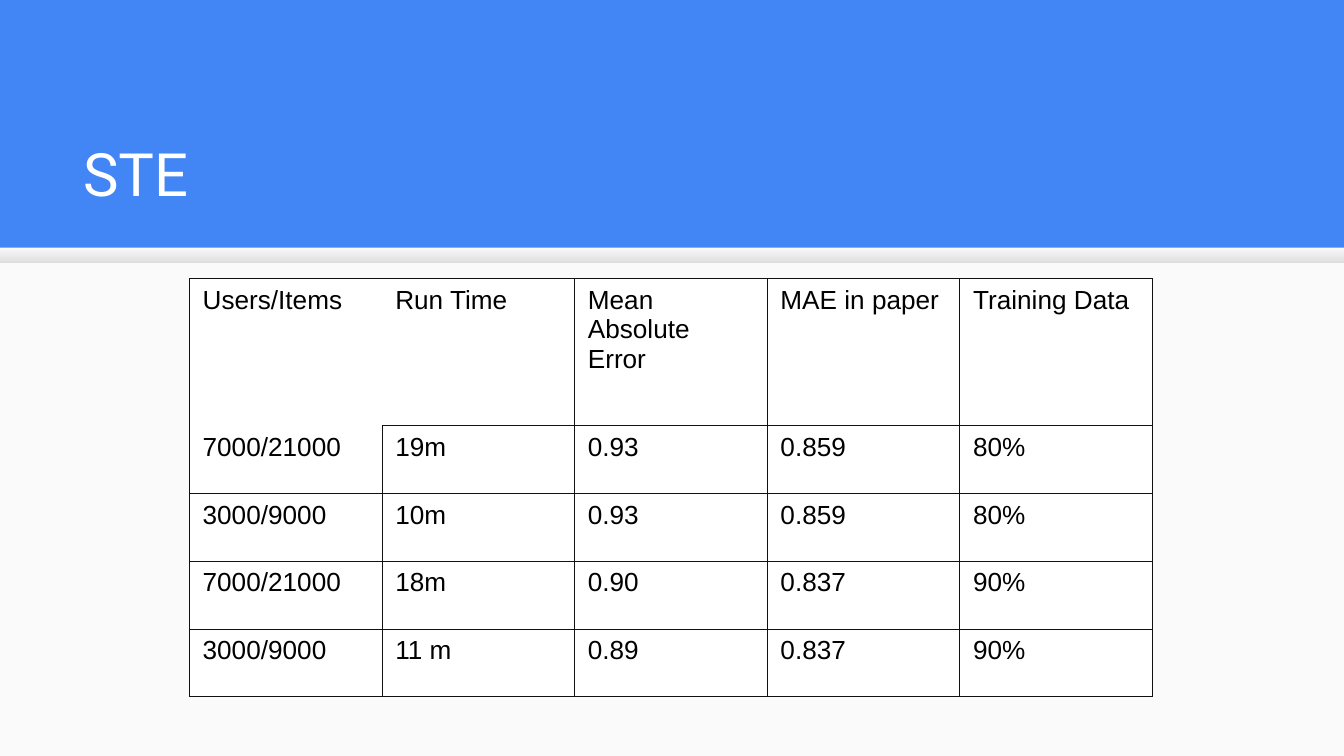
from lxml import etree
from pptx import Presentation
from pptx.dml.color import RGBColor
from pptx.enum.shapes import MSO_SHAPE
from pptx.enum.text import MSO_ANCHOR
from pptx.oxml.ns import qn
from pptx.util import Cm, Pt

RECTANGLE = MSO_SHAPE.RECTANGLE
BOTTOM = MSO_ANCHOR.BOTTOM

TITLE = "STE"
ROWS = [
    ("Users/Items", "Run Time", "Mean Absolute Error", "MAE in paper", "Training Data"),
    ("7000/21000", "19m", "0.93", "0.859", "80%"),
    ("3000/9000", "10m", "0.93", "0.859", "80%"),
    ("7000/21000", "18m", "0.90", "0.837", "90%"),
    ("3000/9000", "11 m", "0.89", "0.837", "90%"),
]
# Sides without a line around the top left cell, by (row, column)
OPEN_SIDES = {(0, 0): "RB", (0, 1): "L", (1, 0): "T"}

THEME = {
    "banner": "4285F4",
    "body": "FAFAFA",
    "shade": ("F9F9F9", "DEDEDE"),
    "title": ("Roboto", 32, "FFFFFF"),
    "cell": ("Arial", 14, "000000"),
    "cell_fill": "FFFFFF",
    "border": "111111",
    "border_width": 0.57,
}

SLIDE_WIDTH, SLIDE_HEIGHT = Cm(25.4), Cm(14.29)
BANNER_HEIGHT, SHADE_HEIGHT = Cm(4.68), Cm(0.3)
TABLE_LEFT, TABLE_TOP = Cm(3.58), Cm(5.27)
COLUMN_WIDTH = Cm(3.64)
HEADER_HEIGHT, ROW_HEIGHT = Cm(2.78), Cm(1.28)
INSET, CELL_INSET = Cm(0.25), Cm(0.13)


def color(value):
    return RGBColor.from_string(value)


def style_text(text_frame, style):
    name, size, text_color = style
    for run in text_frame.paragraphs[0].runs:
        run.font.name = name
        run.font.size = Pt(size)
        run.font.color.rgb = color(text_color)


def add_band(slide, top, height):
    shape = slide.shapes.add_shape(RECTANGLE, 0, top, SLIDE_WIDTH, height)
    shape.shadow.inherit = False
    shape.line.fill.background()
    return shape


def set_borders(cell, open_sides):
    """Draw a line on every side of the cell except the open ones."""
    properties = cell._tc.get_or_add_tcPr()
    for index, side in enumerate("LRTB"):
        line = etree.Element(qn(f"a:ln{side}"), w=str(Pt(THEME["border_width"])))
        if side in open_sides:
            etree.SubElement(line, qn("a:noFill"))
        else:
            fill = etree.SubElement(line, qn("a:solidFill"))
            etree.SubElement(fill, qn("a:srgbClr"), val=THEME["border"])
        properties.insert(index, line)


def add_background(slide):
    slide.background.fill.solid()
    slide.background.fill.fore_color.rgb = color(THEME["banner"])

    body = add_band(slide, BANNER_HEIGHT, SLIDE_HEIGHT - BANNER_HEIGHT)
    body.fill.solid()
    body.fill.fore_color.rgb = color(THEME["body"])

    shade = add_band(slide, BANNER_HEIGHT, SHADE_HEIGHT)
    shade.fill.gradient()
    shade.fill.gradient_angle = 270
    for position, (stop, value) in enumerate(zip(shade.fill.gradient_stops, THEME["shade"])):
        stop.position = position
        stop.color.rgb = color(value)


def add_title(slide):
    text_frame = slide.shapes.add_textbox(Cm(1.32), Cm(2.06), Cm(22.83), Cm(2.13)).text_frame
    text_frame.word_wrap = True
    text_frame.vertical_anchor = BOTTOM
    text_frame.margin_left = text_frame.margin_right = INSET
    text_frame.margin_top = text_frame.margin_bottom = INSET
    text_frame.text = TITLE
    style_text(text_frame, THEME["title"])


def add_results(slide):
    heights = [HEADER_HEIGHT] + [ROW_HEIGHT] * (len(ROWS) - 1)
    column_count = len(ROWS[0])
    table = slide.shapes.add_table(
        len(ROWS), column_count, TABLE_LEFT, TABLE_TOP,
        COLUMN_WIDTH * column_count, sum(heights),
    ).table
    table.first_row = table.horz_banding = False
    for column in table.columns:
        column.width = COLUMN_WIDTH
    for row, height in zip(table.rows, heights):
        row.height = height
    for row_index, values in enumerate(ROWS):
        for column_index, value in enumerate(values):
            cell = table.cell(row_index, column_index)
            cell.text = value
            cell.margin_left = cell.margin_right = INSET
            cell.margin_top = cell.margin_bottom = CELL_INSET
            cell.fill.solid()
            cell.fill.fore_color.rgb = color(THEME["cell_fill"])
            style_text(cell.text_frame, THEME["cell"])
            set_borders(cell, OPEN_SIDES.get((row_index, column_index), ""))


def main():
    presentation = Presentation()
    presentation.slide_width, presentation.slide_height = SLIDE_WIDTH, SLIDE_HEIGHT
    slide = presentation.slides.add_slide(presentation.slide_layouts[6])
    add_background(slide)
    add_title(slide)
    add_results(slide)
    presentation.save("out.pptx")


if __name__ == "__main__":
    main()
